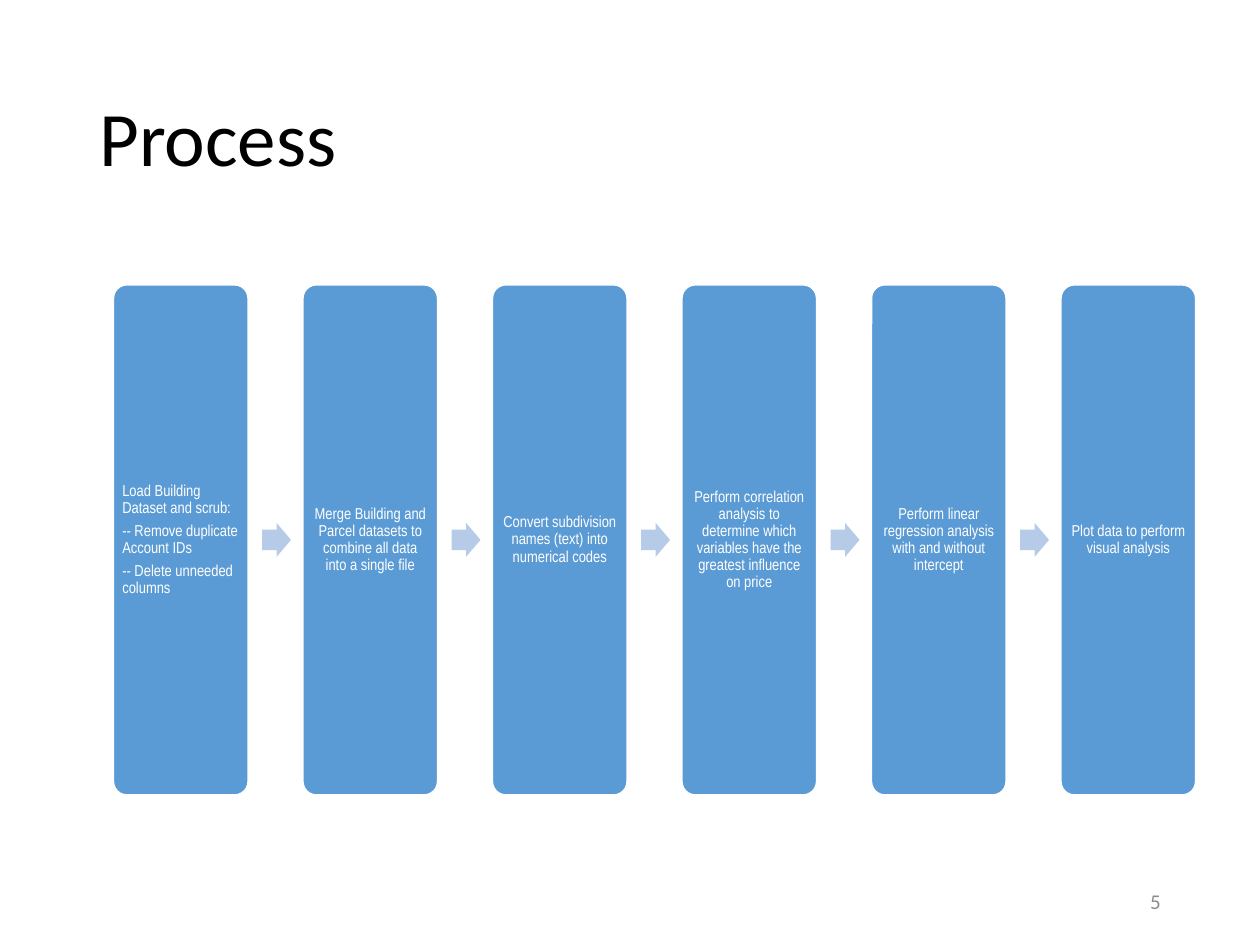
from pptx import Presentation
from pptx.dml.color import RGBColor
from pptx.enum.shapes import MSO_SHAPE
from pptx.enum.text import MSO_ANCHOR, PP_ALIGN
from pptx.util import Inches, Pt

LEFT, CENTER, RIGHT = PP_ALIGN.LEFT, PP_ALIGN.CENTER, PP_ALIGN.RIGHT
MIDDLE = MSO_ANCHOR.MIDDLE
BOX, ARROW = MSO_SHAPE.ROUNDED_RECTANGLE, MSO_SHAPE.RIGHT_ARROW

TITLE = "Process"
PAGE = "5"
STEPS = [
    ["Load Building Dataset and scrub:",
     "-- Remove duplicate Account IDs",
     "-- Delete unneeded columns"],
    ["Merge Building and Parcel datasets to combine all data into a single file"],
    ["Convert subdivision names (text) into numerical codes"],
    ["Perform correlation analysis to determine which variables have the "
     "greatest influence on price"],
    ["Perform linear regression analysis with and without intercept"],
    ["Plot data to perform visual analysis"],
]
COLORS = {"text": "000000", "page": "8C8C8C", "box": "5B9BD5",
          "arrow": "B5CBE7", "white": "FFFFFF"}

BOX_X, BOX_Y, BOX_W, BOX_H = 0.9, 2.26, 1.07, 4.05
PITCH = 1.504
ARROW_DX, ARROW_W, ARROW_H = 1.18, 0.23, 0.27


def color(name):
    return RGBColor.from_string(COLORS[name])


def write(shape, paragraphs, size, fill, font="Calibri", align=LEFT,
          spacing=1.0, after=0, inset=None):
    tf = shape.text_frame
    tf.word_wrap = True
    tf.vertical_anchor = MIDDLE
    if inset is not None:
        tf.margin_left = tf.margin_right = Inches(inset)
        tf.margin_top = tf.margin_bottom = Inches(inset)
    for i, text in enumerate(paragraphs):
        p = tf.paragraphs[0] if i == 0 else tf.add_paragraph()
        p.alignment = align
        p.line_spacing = spacing
        p.space_before, p.space_after = Pt(0), Pt(after)
        r = p.add_run()
        r.text = text
        r.font.name, r.font.size = font, Pt(size)
        r.font.color.rgb = color(fill)


def add_block(s, kind, x, y, w, h, fill, adjustments):
    sp = s.shapes.add_shape(kind, Inches(x), Inches(y), Inches(w), Inches(h))
    sp.shadow.inherit = False
    sp.fill.solid()
    sp.fill.fore_color.rgb = color(fill)
    sp.line.fill.background()
    for i, value in enumerate(adjustments):
        sp.adjustments[i] = value
    return sp


def main():
    prs = Presentation()
    prs.slide_width, prs.slide_height = Inches(10), Inches(7.5)
    s = prs.slides.add_slide(prs.slide_layouts[5])

    title = s.shapes.title
    title.left, title.top = Inches(0.69), Inches(0.4)
    title.width, title.height = Inches(8.62), Inches(1.45)
    write(title, [TITLE], 44, "text", spacing=0.9)

    page = s.shapes.add_textbox(Inches(7.06), Inches(6.95), Inches(2.25), Inches(0.4))
    write(page, [PAGE], 12, "page", align=RIGHT)

    arrow_y = BOX_Y + (BOX_H - ARROW_H) / 2
    for i, step in enumerate(STEPS):
        x = BOX_X + i * PITCH
        box = add_block(s, BOX, x, BOX_Y, BOX_W, BOX_H, "box", [0.1])
        box.line.color.rgb = color("white")
        box.line.width = Pt(1)
        write(box, step, 9, "white", font="Arial Narrow",
              align=LEFT if len(step) > 1 else CENTER,
              spacing=0.9, after=3.15, inset=0.04)
        if i < len(STEPS) - 1:
            add_block(s, ARROW, x + ARROW_DX, arrow_y, ARROW_W, ARROW_H,
                      "arrow", [0.6, 0.5])

    prs.save("out.pptx")


if __name__ == "__main__":
    main()
